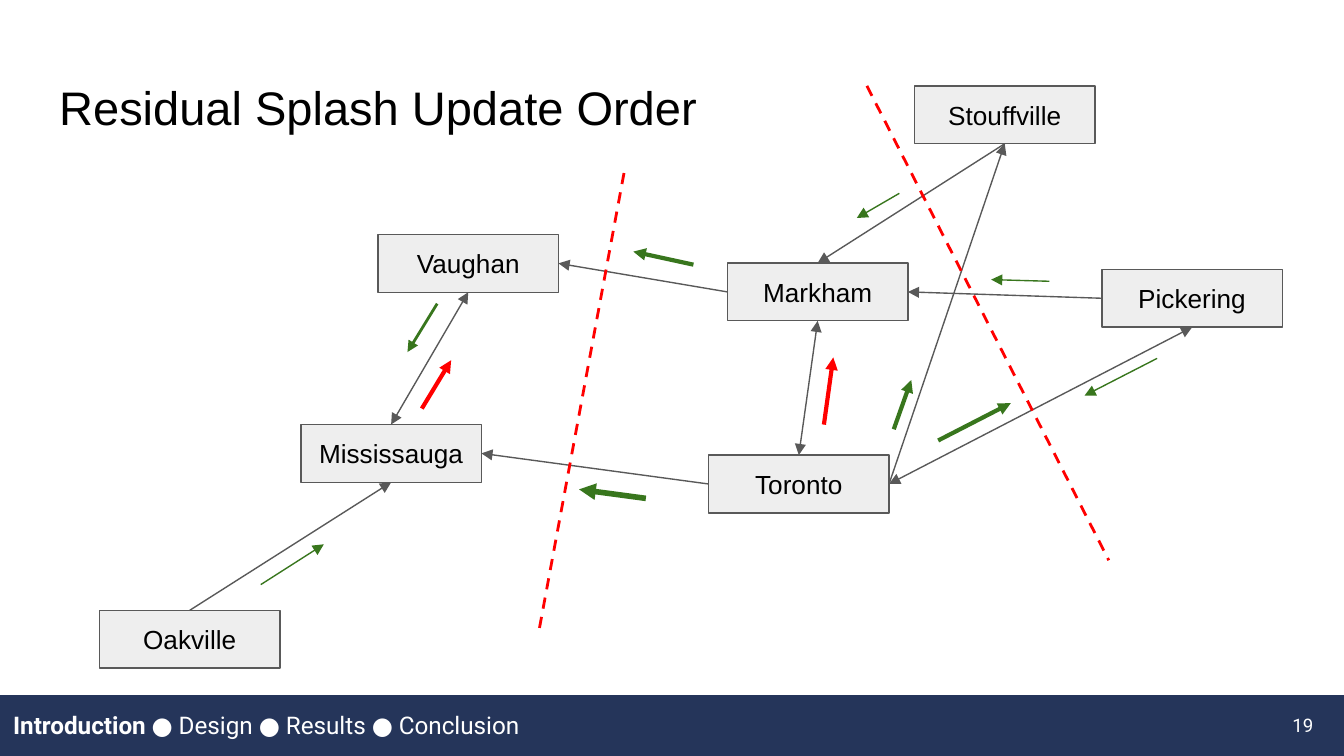
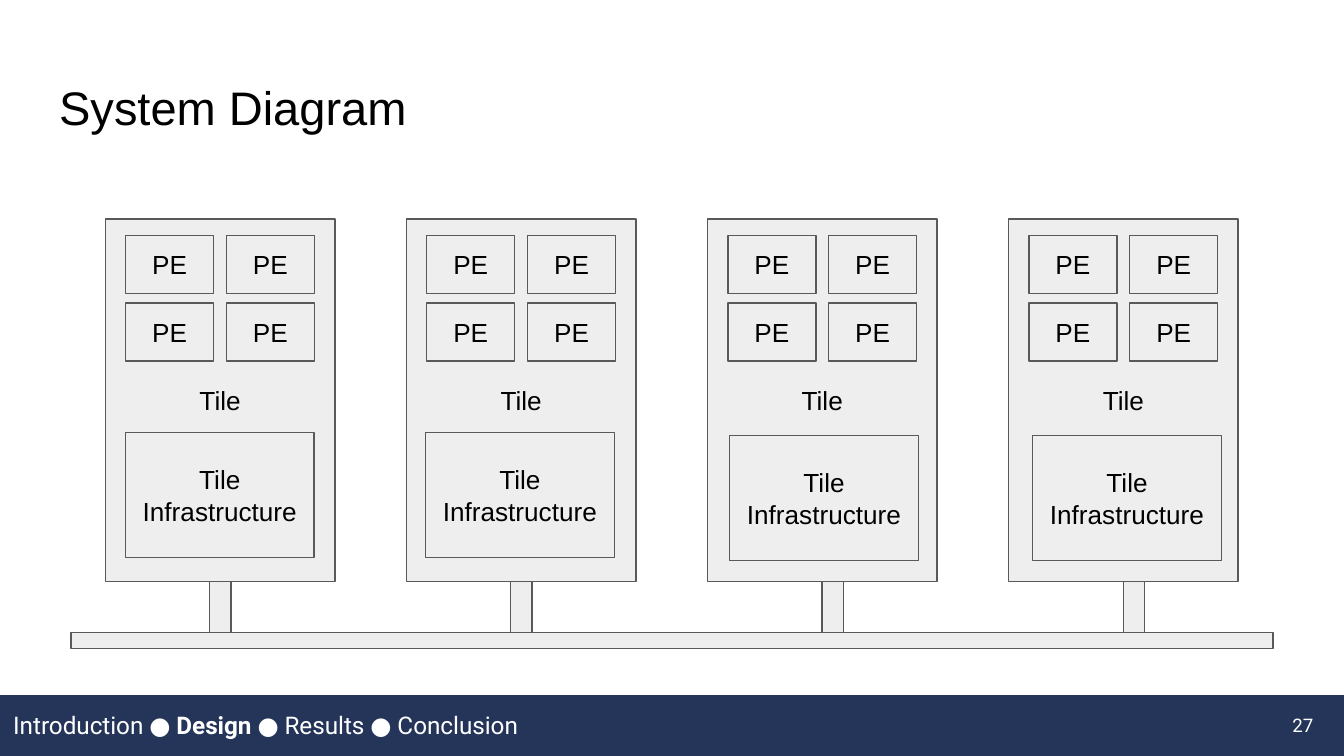
from lxml.etree import SubElement as Sub
from pptx import Presentation
from pptx.dml.color import RGBColor as RGB
from pptx.enum.dml import MSO_LINE_DASH_STYLE as Dash
from pptx.enum.shapes import MSO_CONNECTOR as Conn, MSO_SHAPE as Kind
from pptx.enum.text import MSO_ANCHOR as Anchor, MSO_AUTO_SIZE as Auto, PP_ALIGN as Align
from pptx.oxml.ns import qn
from pptx.util import Pt

NAVY = RGB(0x25, 0x35, 0x5A)
WHITE = RGB(0xFF, 0xFF, 0xFF)
BLACK = RGB(0x00, 0x00, 0x00)
PALE = RGB(0xEE, 0xEE, 0xEE)
GREY = RGB(0x59, 0x59, 0x59)
GREEN = RGB(0x38, 0x76, 0x1D)
RED = RGB(0xFF, 0x00, 0x00)

WIDE, HIGH = 720, 405
BAND = 372.4
PARTS = ["Introduction", "Design", "Results", "Conclusion"]
TOP, LEFT, BASE, RIGHT = range(4)


class Deck:
    """Holds the shared style and the current slide."""

    def __init__(self):
        self.prs = Presentation()
        self.prs.slide_width, self.prs.slide_height = Pt(WIDE), Pt(HIGH)
        self.slide = None

    def style(self, para, size, color, face="Arial", align=Align.LEFT):
        para.alignment = align
        font = para.font
        font.name, font.size, font.color.rgb = face, Pt(size), color

    def frame(self, shape, anchor):
        frame = shape.text_frame
        frame.word_wrap, frame.auto_size = True, Auto.NONE
        frame.vertical_anchor = anchor
        frame.margin_left = frame.margin_right = Pt(7.2)
        frame.margin_top = frame.margin_bottom = Pt(7.2)
        return frame.paragraphs[0]

    def page(self, title, part, number):
        self.slide = self.prs.slides.add_slide(self.prs.slide_layouts[5])
        head = self.slide.shapes.title
        head.left, head.top, head.width, head.height = map(Pt, (24.5, 35, 671, 45.1))
        para = self.frame(head, Anchor.TOP)
        para.text = title
        self.style(para, 25.2, BLACK)
        self.box(0, BAND, WIDE, HIGH - BAND, fill=NAVY, line=None)
        self.trail(part)
        para = self.label(667.1, 43.6, 10, Align.RIGHT)
        para.text = str(number)

    def label(self, x, w, size, align):
        """Text box on the footer band."""
        shape = self.slide.shapes.add_textbox(Pt(x), Pt(373), Pt(w), Pt(31))
        para = self.frame(shape, Anchor.MIDDLE)
        self.style(para, size, WHITE, "Roboto", align)
        return para

    def trail(self, part):
        para = self.label(0, 667.1, 13, Align.LEFT)
        for name in PARTS:
            if name != PARTS[0]:
                para.add_run().text = "● "
            run = para.add_run()
            run.text = name if name == PARTS[-1] else name + " "
            run.font.bold = name == part

    def box(self, x, y, w, h, text="", fill=PALE, line=GREY):
        shape = self.slide.shapes.add_shape(Kind.RECTANGLE, Pt(x), Pt(y), Pt(w), Pt(h))
        shape.shadow.inherit = False
        shape.fill.solid()
        shape.fill.fore_color.rgb = fill
        if line is None:
            shape.line.fill.background()
        else:
            shape.line.color.rgb, shape.line.width = line, Pt(0.75)
        if text:
            para = self.frame(shape, Anchor.MIDDLE)
            para.text = text
            self.style(para, 14, BLACK, align=Align.CENTER)
        return shape

    def line(self, start, end, color, width, ends=("tailEnd",), dash=None):
        conn = self.slide.shapes.add_connector(Conn.STRAIGHT, *map(Pt, (*start, *end)))
        conn.line.color.rgb, conn.line.width = color, Pt(width)
        if dash:
            conn.line.dash_style = dash
        for end_tag in ends:
            Sub(conn.line._get_or_add_ln(), qn("a:" + end_tag)).set("type", "triangle")
        Sub(conn._element.spPr, qn("a:effectLst"))
        return conn

    def link(self, source, side, target, face, both=False):
        ends = ("headEnd", "tailEnd") if both else ("tailEnd",)
        conn = self.line((0, 0), (0, 0), GREY, 0.75, ends)
        conn.begin_connect(source, side)
        conn.end_connect(target, face)


def order(deck):
    deck.page("Residual Splash Update Order", "Introduction", 19)

    # Towns
    spots = {
        "Mississauga": (161.2, 227.4), "Oakville": (53.3, 327),
        "Toronto": (379.6, 243.8), "Markham": (389.7, 140.9),
        "Pickering": (590.3, 144.3), "Vaughan": (202.5, 125.6),
        "Stouffville": (489.9, 46),
    }
    towns = {name: deck.box(*spot, 96.7, 31, name) for name, spot in spots.items()}

    # Roads between towns
    roads = [
        ("Vaughan", BASE, "Mississauga", TOP, True),
        ("Pickering", LEFT, "Markham", RIGHT, False),
        ("Markham", LEFT, "Vaughan", RIGHT, False),
        ("Stouffville", BASE, "Markham", TOP, False),
        ("Markham", BASE, "Toronto", TOP, True),
        ("Toronto", RIGHT, "Stouffville", BASE, False),
        ("Oakville", TOP, "Mississauga", BASE, False),
        ("Pickering", BASE, "Toronto", RIGHT, True),
        ("Toronto", LEFT, "Mississauga", RIGHT, False),
    ]
    for source, side, target, face, both in roads:
        deck.link(towns[source], side, towns[target], face, both)

    # Messages, thicker for larger residuals
    moves = [
        ((139.7, 313.2), (173.5, 291.6), GREEN, 0.75),
        ((226, 218.9), (241.7, 193), RED, 2.25),
        ((234.2, 162.7), (218.3, 188.6), GREEN, 1.5),
        ((371.5, 141.8), (339.3, 134.8), GREEN, 2.25),
        ((346, 267), (310.2, 262.2), GREEN, 3),
        ((481.8, 103.6), (459, 116.8), GREEN, 0.75),
        ((562.2, 150.7), (531, 149.8), GREEN, 0.75),
        ((478.8, 230), (488.2, 203.6), GREEN, 2.25),
        ((502.6, 236), (541.5, 216), GREEN, 2.25),
        ((619.9, 192), (581, 212), GREEN, 0.75),
        ((441.4, 227.5), (446.4, 191.5), RED, 2.25),
    ]
    for move in moves:
        deck.line(*move)

    # Cuts between regions
    for start, end in [((334.3, 92.7), (288.2, 340.8)), ((464.4, 46), (594, 300.2))]:
        deck.line(start, end, RED, 1.5, (), Dash.DASH)


def system(deck):
    deck.page("System Diagram", "Design", 27)
    left, top, step = 56.4, 117.4, 161.3
    foot, bus = top + 194.2, 338.9

    # Tiles: inset of the infrastructure, its top, inset of the stem
    tiles = [(10.8, 231.8, 55.8), (10.3, 231.8, 55.8),
             (11.9, 233.4, 61.4), (12.9, 233.4, 61.4)]
    for i, (inset, level, stem) in enumerate(tiles):
        x = left + i * step
        deck.box(x, top, 123, foot - top, "Tile")
        for row in range(2):
            for col in range(2):
                deck.box(x + 10.9 + col * 54, 126.2 + row * 36.2, 47.2, 31, "PE")
        deck.box(x + inset, level, 101.1, 66.8, "Tile Infrastructure")
        deck.box(x + stem, foot, 11.6, bus - foot)

    # Shared bus
    deck.box(38, bus, 644, 8.6)


def main():
    deck = Deck()
    order(deck)
    system(deck)
    deck.prs.save("out.pptx")


if __name__ == "__main__":
    main()
